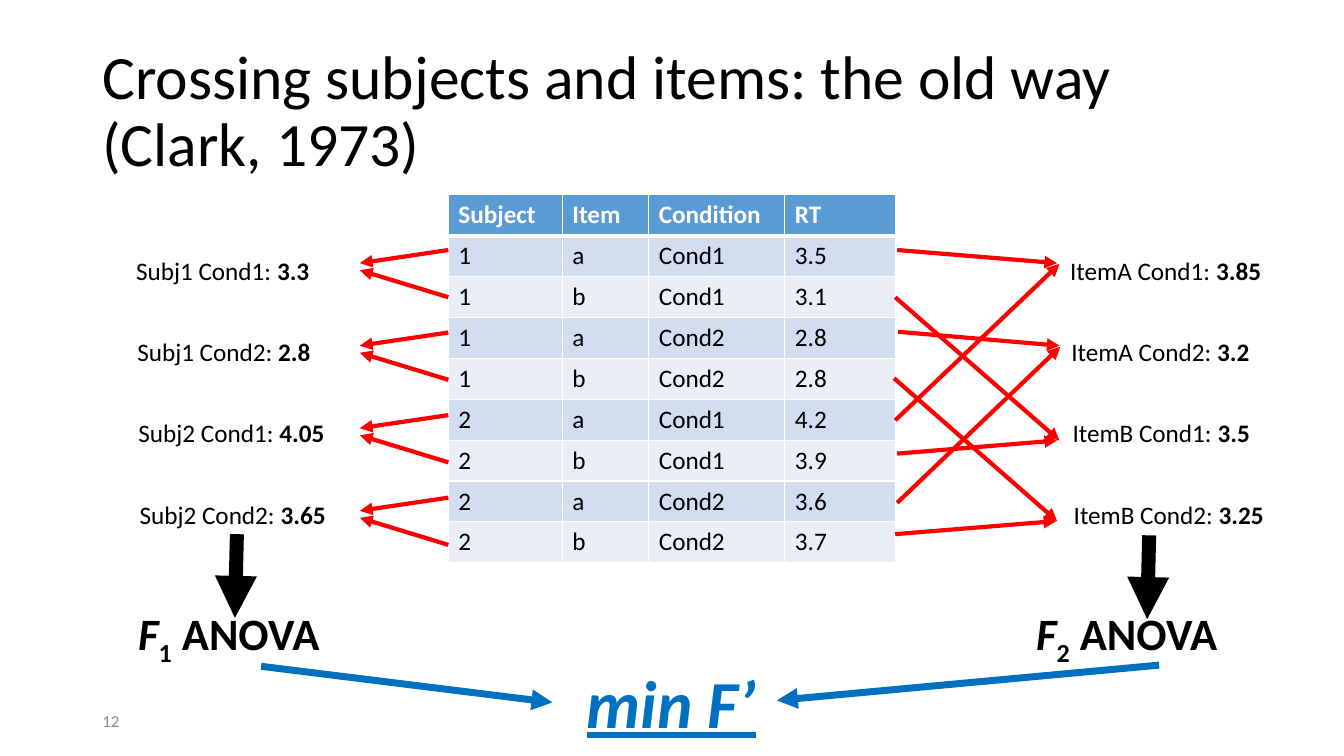
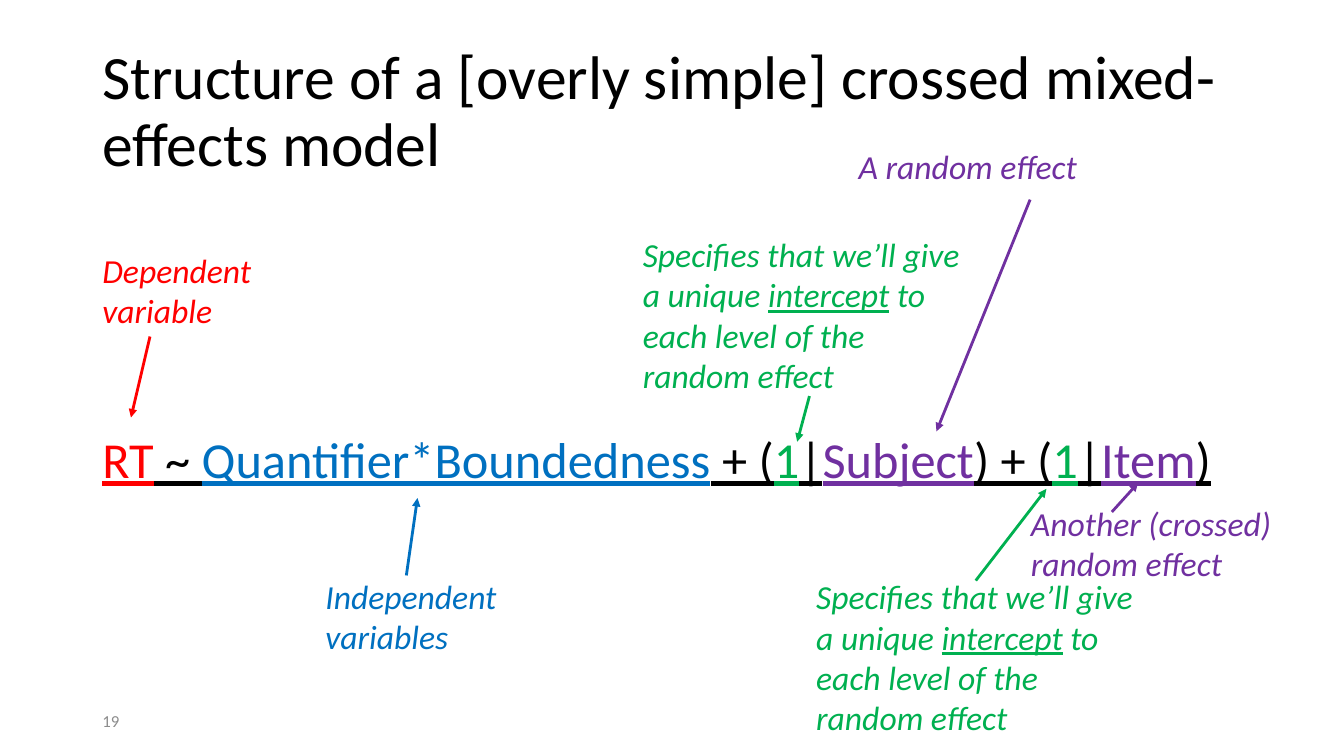
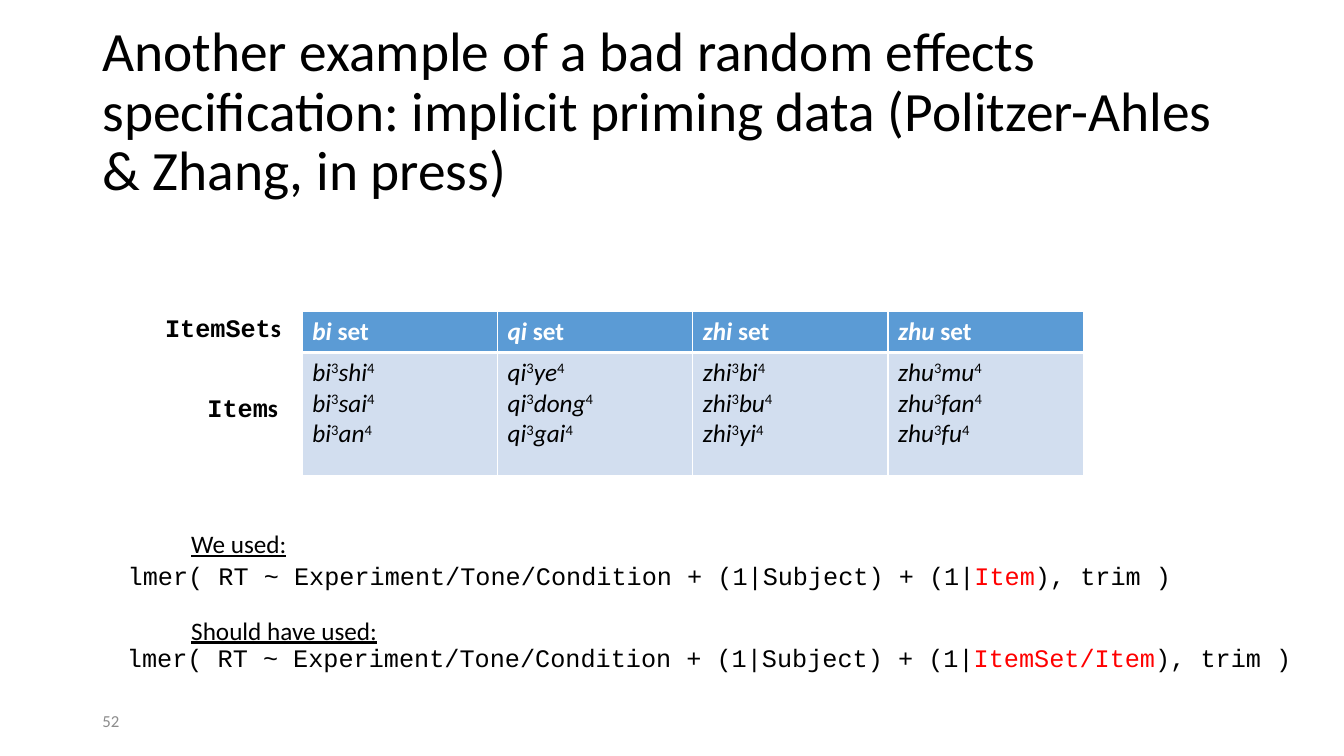
import pptx
import pptx.dml.color
import pptx.enum.shapes
import pptx.enum.text
import pptx.oxml
import pptx.oxml.ns
import pptx.util
from pptx.util import Cm

COLORS = {
    "black": "000000", "white": "FFFFFF", "grey": "8C8C8C",
    "red": "FF0000", "blue": "0070C0", "green": "00B050", "purple": "7030A0",
    "header": "5B9BD5", "band_dark": "D2DEEF", "band_light": "EAEFF7",
}
BASE_STYLE = {"size": 18, "font": "Calibri", "color": "black"}
CODE_FONT = "Courier New"
BOLD = {"bold": True}
ITALIC = {"italic": True}
SUPERSCRIPT = {"baseline": 30000}
SUBSCRIPT = {"baseline": -25000, "italic": False}
ANCHOR = pptx.enum.text.MSO_ANCHOR
ALIGN = pptx.enum.text.PP_ALIGN


def rgb(name):
    return pptx.dml.color.RGBColor.from_string(COLORS[name])


def add_run(para, text, style):
    span = para.add_run()
    span.text = text
    font = span.font
    font.name = style["font"]
    font.size = pptx.util.Pt(style["size"])
    font.color.rgb = rgb(style["color"])
    font.bold = style.get("bold", False)
    font.italic = style.get("italic", False)
    font.underline = style.get("underline", False)
    if "baseline" in style:
        span._r.get_or_add_rPr().set("baseline", str(style["baseline"]))


def fill_frame(frame, paragraphs, **style):
    for index, runs in enumerate(paragraphs):
        para = frame.add_paragraph() if index else frame.paragraphs[0]
        for text, override in runs:
            add_run(para, text, {**BASE_STYLE, **style, **override})


def add_text(page, left, top, width, height, runs, anchor=ANCHOR.TOP,
             align=ALIGN.LEFT, spacing=1.0, **style):
    box = page.shapes.add_textbox(Cm(left), Cm(top), Cm(width), Cm(height))
    frame = box.text_frame
    frame.word_wrap = True
    frame.vertical_anchor = anchor
    if isinstance(runs, str):
        runs = [(runs, {})]
    fill_frame(frame, [runs], **style)
    para = frame.paragraphs[0]
    para.alignment = align
    para.line_spacing = spacing


def add_arrow(page, start, end, color, width):
    kind = pptx.enum.shapes.MSO_CONNECTOR.STRAIGHT
    arrow = page.shapes.add_connector(kind, *map(Cm, start + end))
    arrow.line.color.rgb = rgb(color)
    arrow.line.width = pptx.util.Pt(width)
    line = arrow.line._get_or_add_ln()
    pptx.oxml.ns.qn("a:tailEnd")
    line.append(pptx.oxml.parse_xml(
        f'<a:tailEnd {pptx.oxml.ns.nsdecls("a")} type="triangle"/>'))
    arrow._element.spPr.append(pptx.oxml.parse_xml(
        f'<a:effectLst {pptx.oxml.ns.nsdecls("a")}/>'))


def set_borders(cell, row):
    widths = {"lnL": 1, "lnR": 1,
              "lnT": 3 if row == 1 else 1, "lnB": 3 if row == 0 else 1}
    properties = cell._tc.get_or_add_tcPr()
    for position, (side, width) in enumerate(widths.items()):
        properties.insert(position, pptx.oxml.parse_xml(
            f'<a:{side} {pptx.oxml.ns.nsdecls("a")} w="{pptx.util.Pt(width)}">'
            f'<a:solidFill><a:srgbClr val="{COLORS["white"]}"/></a:solidFill>'
            f'</a:{side}>'))


def add_table(page, left, top, widths, heights, rows):
    frame = page.shapes.add_table(len(heights), len(widths), Cm(left), Cm(top),
                                  Cm(sum(widths)), Cm(sum(heights)))
    table = frame.table
    for column, width in zip(table.columns, widths):
        column.width = Cm(width)
    for index, (row, height) in enumerate(zip(rows, heights)):
        table.rows[index].height = Cm(height)
        is_header = index == 0
        band = "band_dark" if index % 2 else "band_light"
        for column, paragraphs in enumerate(row):
            cell = table.cell(index, column)
            cell.fill.solid()
            cell.fill.fore_color.rgb = rgb("header" if is_header else band)
            fill_frame(cell.text_frame, paragraphs, bold=is_header,
                       color="white" if is_header else "black")
            set_borders(cell, index)


def add_page(deck, title, number, title_size=44):
    page = deck.slides.add_slide(deck.slide_layouts[6])
    add_text(page, 2.33, 1.01, 29.21, 3.68, title, anchor=ANCHOR.MIDDLE,
             spacing=0.9, size=title_size)
    add_text(page, 2.33, 17.65, 7.62, 1.01, number, anchor=ANCHOR.MIDDLE,
             size=12, color="grey")
    return page


def add_means(page, left, means):
    for index, (label, mean) in enumerate(means):
        add_text(page, left + 0.03 * index, 6.3 + 2.05 * index, 5.44, 1.02,
                 [(label + ": ", {}), (mean, BOLD)])


def add_anova(page, left, subscript):
    runs = [("F", ITALIC), (subscript, SUBSCRIPT), (" ANOVA", {})]
    add_text(page, left, 15.15, 6.73, 1.63, runs, size=32, bold=True)


def build_crossing(deck):
    page = add_page(
        deck, "Crossing subjects and items: the old way (Clark, 1973)", "12")
    records = ["Subject Item Condition RT",
               "1 a Cond1 3.5", "1 b Cond1 3.1", "1 a Cond2 2.8",
               "1 b Cond2 2.8", "2 a Cond1 4.2", "2 b Cond1 3.9",
               "2 a Cond2 3.6", "2 b Cond2 3.7"]
    rows = [[[[(word, {})]] for word in record.split()] for record in records]
    add_table(page, 11.3, 4.91, [2.87, 2.18, 3.43, 2.8], [1.03] * 9, rows)

    for group in range(4):
        shift = 2.08 * group
        for start, end in ((6.3, 6.63), (7.49, 6.81)):
            add_arrow(page, (11.3, start + shift), (9.07, end + shift),
                      "red", 3)
    item_arrows = [
        ((22.61, 6.3), (26.64, 6.63)), ((22.56, 10.59), (26.7, 6.65)),
        ((22.63, 8.36), (26.7, 8.71)), ((22.61, 12.67), (26.72, 8.74)),
        ((22.61, 11.43), (26.64, 11.1)), ((22.56, 7.49), (26.7, 11.1)),
        ((22.56, 13.46), (26.62, 13.13)), ((22.53, 9.53), (26.64, 13.13))]
    for start, end in item_arrows:
        add_arrow(page, start, end, "red", 3)

    add_means(page, 3.18, [("Subj1 Cond1", "3.3"), ("Subj1 Cond2", "2.8"),
                           ("Subj2 Cond1", "4.05"), ("Subj2 Cond2", "3.65")])
    add_means(page, 26.72, [("ItemA Cond1", "3.85"), ("ItemA Cond2", "3.2"),
                            ("ItemB Cond1", "3.5"), ("ItemB Cond2", "3.25")])
    add_anova(page, 3.23, "1")
    add_anova(page, 25.86, "2")
    add_text(page, 13.56, 16.54, 6.73, 2.31, "min F’", align=ALIGN.CENTER,
             size=48, color="blue", bold=True, italic=True, underline=True)
    add_arrow(page, (5.97, 13.46), (5.92, 15.57), "black", 10)
    add_arrow(page, (28.96, 13.49), (28.91, 15.6), "black", 10)
    add_arrow(page, (6.58, 16.79), (13.92, 17.7), "blue", 5)
    add_arrow(page, (29.21, 16.76), (19.58, 17.65), "blue", 5)


def build_structure(deck):
    page = add_page(
        deck, "Structure of a [overly simple] crossed mixed-effects model", "19")
    formula = [("RT", "red"), (" ~ ", "black"),
               ("Quantifier*Boundedness", "blue"), (" + (", "black"),
               ("1", "green"), ("|", "black"), ("Subject", "purple"),
               (") + (", "black"), ("1", "green"), ("|", "black"),
               ("Item", "purple"), (")", "black")]
    add_text(page, 2.33, 10.83, 29.21, 1.65,
             [(text, {"color": color}) for text, color in formula],
             spacing=0.9, size=36, underline=True)

    intercept = [("Specifies that we’ll give a unique ", {}),
                 ("intercept", {"underline": True}),
                 (" to each level of the random effect", {})]
    notes = [
        (2.33, 6.17, 6.3, 2.31, "Dependent variable", "red",
         (3.78, 8.48), (3.3, 10.52)),
        (7.95, 14.38, 6.3, 2.31, "Independent variables", "blue",
         (10.24, 14.5), (10.52, 12.55)),
        (21.39, 3.56, 6.3, 1.27, "A random effect", "purple",
         (25.96, 5.03), (23.6, 10.87)),
        (15.95, 5.77, 8.71, 4.37, intercept, "green",
         (20.4, 9.98), (20.09, 11.13)),
        (25.73, 12.55, 6.96, 2.31, "Another (crossed) random effect", "purple",
         (28.02, 12.9), (28.68, 12.17)),
        (20.32, 14.4, 8.71, 4.37, intercept, "green",
         (24.59, 14.63), (26.37, 12.32))]
    for left, top, width, height, runs, color, start, end in notes:
        add_text(page, left, top, width, height, runs,
                 size=24, color=color, italic=True)
        add_arrow(page, start, end, color, 2)


def word_runs(first, second):
    return [(first, ITALIC), ("3", SUPERSCRIPT),
            (second, ITALIC), ("4", SUPERSCRIPT)]


def add_model(page, left, top, width, term):
    runs = [("lmer( RT ~ Experiment/Tone/Condition + (1|Subject) + (1|", {}),
            (term, {"color": "red"}), ("), trim )", {})]
    add_text(page, left, top, width, 1.02, runs, font=CODE_FONT)


def build_priming(deck):
    page = add_page(
        deck, "Another example of a bad random effects specification: implicit "
        "priming data (Politzer-Ahles & Zhang, in press)", "52", 39.6)
    item_sets = {"bi": ["shi", "sai", "an"], "qi": ["ye", "dong", "gai"],
                 "zhi": ["bi", "bu", "yi"], "zhu": ["mu", "fan", "fu"]}
    header = [[[(first, ITALIC), (" set", {})]] for first in item_sets]
    items = [[word_runs(first, second) for second in seconds]
             for first, seconds in item_sets.items()]
    add_table(page, 7.62, 7.85, [4.92] * 4, [1.03, 3.1], [header, items])

    for left, top, name in ((3.91, 7.75, "ItemSet"), (4.98, 9.75, "Item")):
        add_text(page, left, top, 4.95, 1.02,
                 [(name, {"font": CODE_FONT}), ("s", {})], bold=True)
    add_text(page, 4.57, 13.18, 4.6, 1.02, "We used:", underline=True)
    add_model(page, 2.97, 14, 27.94, "Item")
    add_text(page, 4.57, 15.37, 6.17, 1.02, "Should have used:", underline=True)
    add_model(page, 2.95, 16.05, 29.97, "ItemSet/Item")


def main():
    deck = pptx.Presentation()
    deck.slide_width = Cm(33.87)
    deck.slide_height = Cm(19.05)
    build_crossing(deck)
    build_structure(deck)
    build_priming(deck)
    deck.save("out.pptx")


if __name__ == "__main__":
    main()
